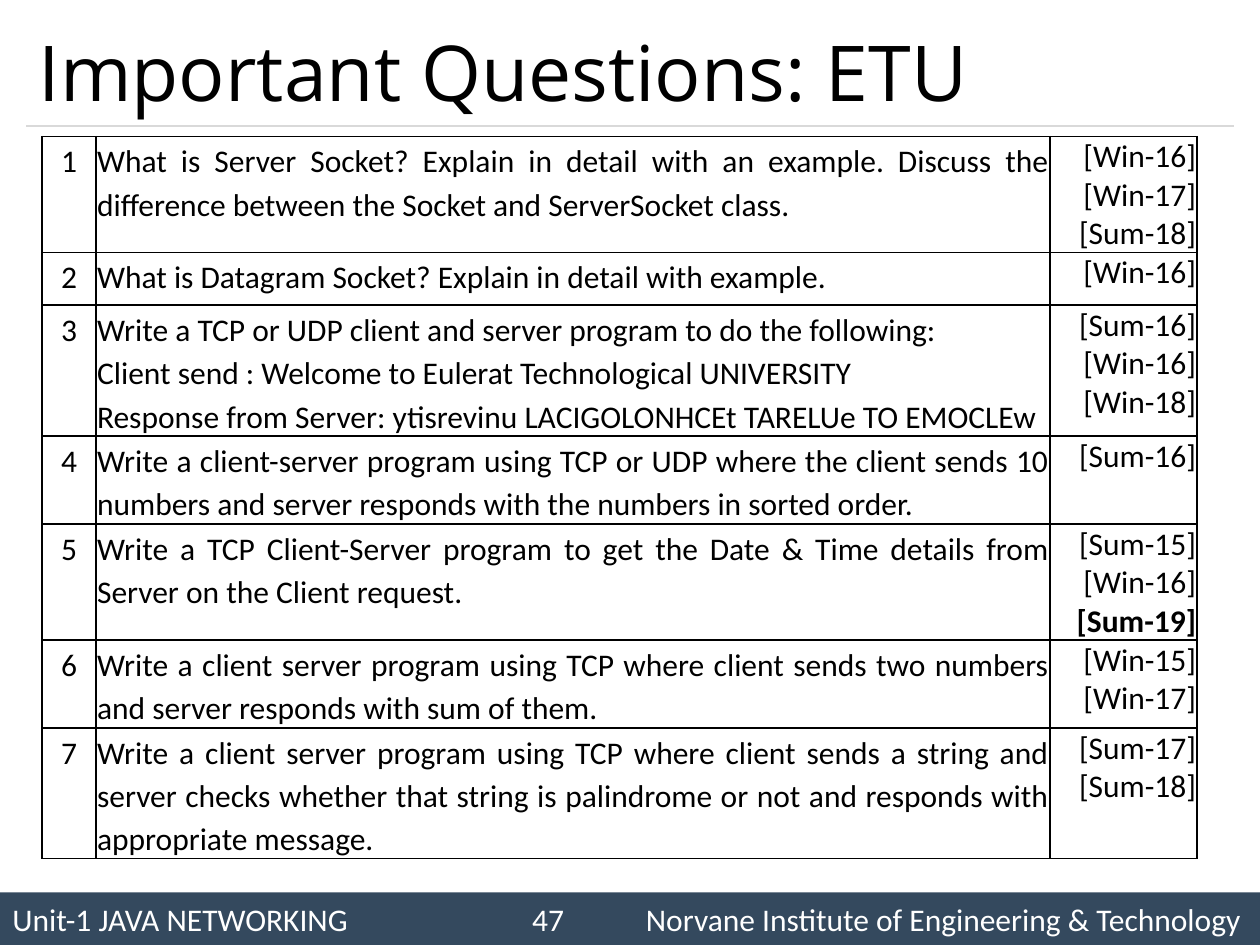
from dataclasses import dataclass

from lxml.etree import SubElement
from pptx import Presentation
from pptx.dml.color import RGBColor
from pptx.enum.shapes import MSO_CONNECTOR, MSO_SHAPE
from pptx.enum.text import MSO_ANCHOR, MSO_AUTO_SIZE, PP_ALIGN
from pptx.oxml import parse_xml
from pptx.oxml.ns import nsdecls, qn
from pptx.util import Pt


@dataclass(frozen=True)
class Theme:
    ink: str = "000000"
    paper: str = "FFFFFF"
    bar: str = "34495E"
    rule: str = "D9D9D9"
    heading_font: str = "Open Sans"
    body_font: str = "Calibri"
    heading_size: int = 44
    body_size: int = 18
    question_spacing: float = 1.13


THEME = Theme()
COLUMN_WIDTHS = (31, 545, 84)
ROW_HEIGHT = 30
LATEST_EXAM = "[Sum-19]"
QUESTIONS = [
    (["What is Server Socket? Explain in detail with an example. Discuss the "
      "difference between the Socket and ServerSocket class."],
     ["[Win-16]", "[Win-17]", "[Sum-18]"]),
    (["What is Datagram Socket? Explain in detail with example."],
     ["[Win-16]"]),
    (["Write a TCP or UDP client and server program to do the following:",
      "Client send : Welcome to Eulerat Technological UNIVERSITY",
      "Response from Server: ytisrevinu LACIGOLONHCEt TARELUe TO EMOCLEw"],
     ["[Sum-16]", "[Win-16]", "[Win-18]"]),
    (["Write a client-server program using TCP or UDP where the client sends 10 "
      "numbers and server responds with the numbers in sorted order."],
     ["[Sum-16]"]),
    (["Write a TCP Client-Server program to get the Date & Time details from "
      "Server on the Client request."],
     ["[Sum-15]", "[Win-16]", LATEST_EXAM]),
    (["Write a client server program using TCP where client sends two numbers "
      "and server responds with sum of them."],
     ["[Win-15]", "[Win-17]"]),
    (["Write a client server program using TCP where client sends a string and "
      "server checks whether that string is palindrome or not and responds with "
      "appropriate message."],
     ["[Sum-17]", "[Sum-18]"]),
]


def write_text(frame, lines, align, color=THEME.ink, font=THEME.body_font,
               size=THEME.body_size, spacing=None):
    frame.text = "\n".join(lines)
    for para in frame.paragraphs:
        para.alignment = align
        if spacing:
            para.line_spacing = spacing
        for span in para.runs:
            span.font.name = font
            span.font.size = Pt(size)
            span.font.bold = span.text == LATEST_EXAM
            span.font.color.rgb = RGBColor.from_string(color)


def add_title(page, text):
    title = page.shapes.title
    title.left, title.top, title.width, title.height = Pt(15), Pt(9), Pt(690), Pt(63)
    frame = title.text_frame
    frame.auto_size = MSO_AUTO_SIZE.NONE
    frame.vertical_anchor = MSO_ANCHOR.MIDDLE
    write_text(frame, [text], PP_ALIGN.LEFT, font=THEME.heading_font,
               size=THEME.heading_size)


def add_rule(page):
    rule = page.shapes.add_connector(MSO_CONNECTOR.STRAIGHT, Pt(15), Pt(72), Pt(705), Pt(72))
    rule.line.color.rgb = RGBColor.from_string(THEME.rule)
    rule.line.width = Pt(0.75)
    SubElement(rule._element.spPr, qn("a:effectLst"))


def add_footer(page, unit, school, number):
    bar = page.shapes.add_shape(MSO_SHAPE.RECTANGLE, 0, Pt(510), Pt(720), Pt(30))
    bar.shadow.inherit = False
    bar.fill.solid()
    bar.fill.fore_color.rgb = RGBColor.from_string(THEME.bar)
    bar.line.fill.background()
    bar.text_frame.vertical_anchor = MSO_ANCHOR.MIDDLE
    write_text(bar.text_frame, [f"{unit}\t{school}"], PP_ALIGN.LEFT, THEME.paper)
    stops = SubElement(bar.text_frame.paragraphs[0]._p.get_or_add_pPr(), qn("a:tabLst"))
    SubElement(stops, qn("a:tab"), pos=str(Pt(362)), algn="l")

    box = page.shapes.add_textbox(Pt(297), Pt(510.7), Pt(36), Pt(29))
    box.text_frame.word_wrap = False
    box.text_frame.auto_size = MSO_AUTO_SIZE.SHAPE_TO_FIT_TEXT
    write_text(box.text_frame, [number], PP_ALIGN.LEFT, THEME.paper)


def format_cell(cell):
    cell.margin_left = cell.margin_right = Pt(0.5)
    cell.margin_top = cell.margin_bottom = Pt(0.75)
    cell.fill.background()
    properties = cell._tc.get_or_add_tcPr()
    for index, side in enumerate("LRTB"):
        properties.insert(index, parse_xml(
            f'<a:ln{side} {nsdecls("a")} w="{Pt(1)}"><a:solidFill>'
            f'<a:srgbClr val="{THEME.ink}"/></a:solidFill></a:ln{side}>'))


def add_questions(page):
    holder = page.shapes.add_table(len(QUESTIONS), len(COLUMN_WIDTHS), Pt(24), Pt(78),
                                   Pt(sum(COLUMN_WIDTHS)), Pt(408))
    table = holder.table
    table.first_row = table.horz_banding = False
    for column, width in zip(table.columns, COLUMN_WIDTHS):
        column.width = Pt(width)
    for number, (row, (question, exams)) in enumerate(zip(table.rows, QUESTIONS), 1):
        row.height = Pt(ROW_HEIGHT)
        contents = (
            ([str(number)], PP_ALIGN.CENTER, THEME.question_spacing),
            (question, PP_ALIGN.JUSTIFY, THEME.question_spacing),
            (exams, PP_ALIGN.RIGHT, None),
        )
        for cell, (lines, align, spacing) in zip(row.cells, contents):
            format_cell(cell)
            write_text(cell.text_frame, lines, align, spacing=spacing)
    holder.height = Pt(408)


def main():
    deck = Presentation()
    deck.slide_width, deck.slide_height = Pt(720), Pt(540)
    page = deck.slides.add_slide(deck.slide_layouts[5])
    add_footer(page, "Unit-1 JAVA NETWORKING",
               "Norvane Institute of Engineering & Technology", "47")
    add_rule(page)
    add_title(page, "Important Questions: ETU")
    add_questions(page)
    deck.save("out.pptx")


if __name__ == "__main__":
    main()
